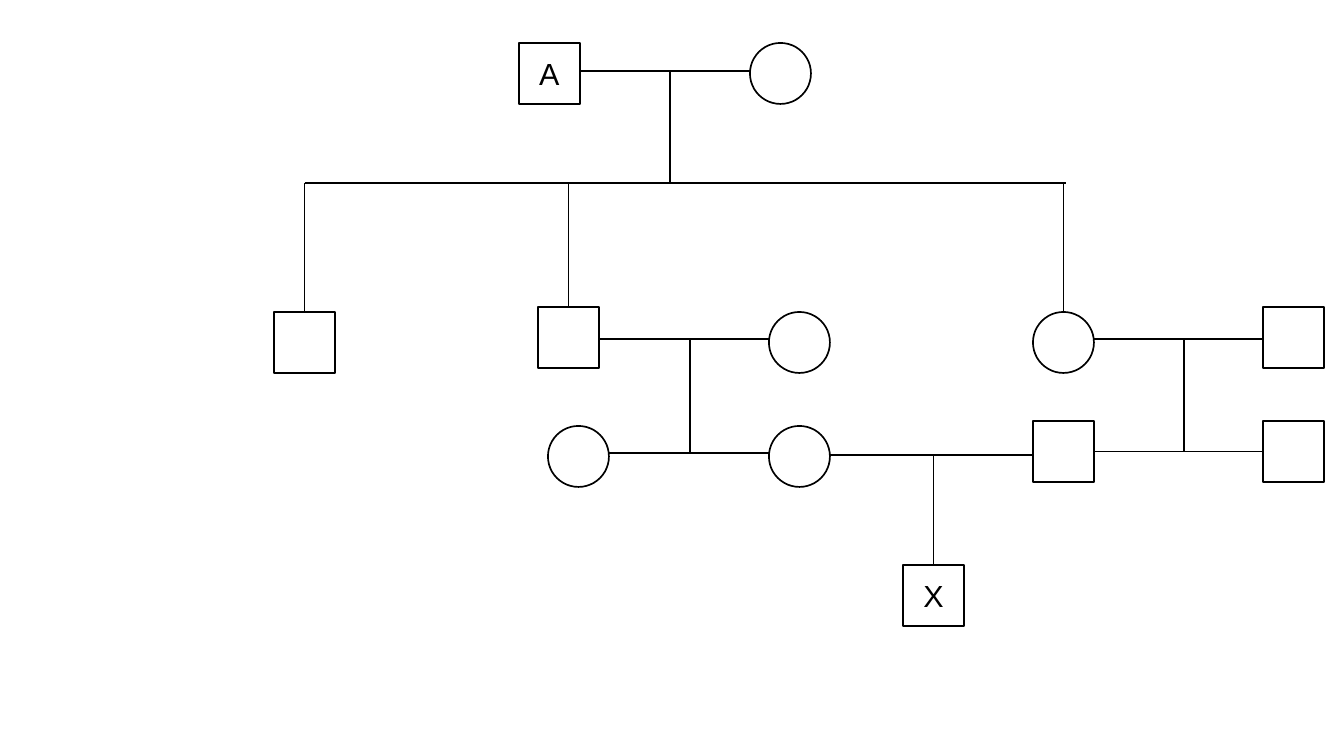
from lxml import etree
from pptx import Presentation
from pptx.dml.color import RGBColor
from pptx.enum.shapes import MSO_CONNECTOR, MSO_SHAPE
from pptx.enum.text import MSO_ANCHOR, PP_ALIGN
from pptx.oxml.ns import qn
from pptx.util import Emu, Pt

PX = 914400 / 122
SIDE = 61
BLACK = RGBColor(0, 0, 0)
WHITE = RGBColor(255, 255, 255)
MALE, FEMALE = MSO_SHAPE.RECTANGLE, MSO_SHAPE.OVAL
TOP, LEFT, RIGHT = 0, 1, 3

# name: sex, left, top, label
PEOPLE = {
    "founder": (MALE, 519, 43, "A"),
    "foundress": (FEMALE, 750, 43, ""),
    "elder son": (MALE, 274, 312, ""),
    "younger son": (MALE, 538, 307, ""),
    "son's wife": (FEMALE, 769, 312, ""),
    "daughter": (FEMALE, 1033, 312, ""),
    "son-in-law": (MALE, 1263, 307, ""),
    "aunt": (FEMALE, 548, 426, ""),
    "mother": (FEMALE, 769, 426, ""),
    "father": (MALE, 1033, 421, ""),
    "uncle": (MALE, 1263, 421, ""),
    "child": (MALE, 903, 565, "X"),
}
# left person, right person, height of the line
PAIRS = [
    ("founder", "foundress", 71),
    ("younger son", "son's wife", 339),
    ("daughter", "son-in-law", 339),
    ("aunt", "mother", 453),
    ("mother", "father", 455),
]
# x, top, bottom
DESCENTS = [(670, 71, 183), (690, 339, 453), (1184, 339, 452)]
SIBLING_BAR = (305, 1066, 183)
# child, height where the line starts
BIRTHS = [("elder son", 183), ("younger son", 183), ("daughter", 183),
          ("child", 455)]


def emu(px):
    return Emu(round(px * PX))


def add_person(shapes, sex, left, top, label):
    person = shapes.add_shape(sex, emu(left), emu(top), emu(SIDE), emu(SIDE))
    person.shadow.inherit = False
    person.fill.solid()
    person.fill.fore_color.rgb = WHITE
    person.line.color.rgb = BLACK
    person.line.width = Pt(1)
    if label:
        frame = person.text_frame
        frame.text = label
        frame.vertical_anchor = MSO_ANCHOR.MIDDLE
        para = frame.paragraphs[0]
        para.alignment = PP_ALIGN.CENTER
        para.font.name = "Arial"
        para.font.size = Pt(18)
        para.font.color.rgb = BLACK
    return person


def add_line(shapes, x1, y1, x2, y2):
    line = shapes.add_connector(
        MSO_CONNECTOR.STRAIGHT, emu(x1), emu(y1), emu(x2), emu(y2))
    line.line.color.rgb = BLACK
    line.line.width = Pt(1)
    etree.SubElement(line._element.spPr, qn("a:effectLst"))
    return line


def main():
    deck = Presentation()
    deck.slide_width, deck.slide_height = emu(1344), emu(756)
    shapes = deck.slides.add_slide(deck.slide_layouts[6]).shapes

    drawn = {name: add_person(shapes, *who) for name, who in PEOPLE.items()}

    for left, right, y in PAIRS:
        add_line(shapes, PEOPLE[left][1] + SIDE, y, PEOPLE[right][1], y)
    for x, top, bottom in DESCENTS:
        add_line(shapes, x, top, x, bottom)
    start, end, y = SIBLING_BAR
    add_line(shapes, start, y, end, y)

    for name, y in BIRTHS:
        _, left, top, _ = PEOPLE[name]
        x = left + SIDE / 2
        add_line(shapes, x, y, x, top).end_connect(drawn[name], TOP)

    brothers = add_line(shapes, 1094, 452, 1263, 452)
    brothers.begin_connect(drawn["father"], RIGHT)
    brothers.end_connect(drawn["uncle"], LEFT)

    deck.save("out.pptx")


if __name__ == "__main__":
    main()
